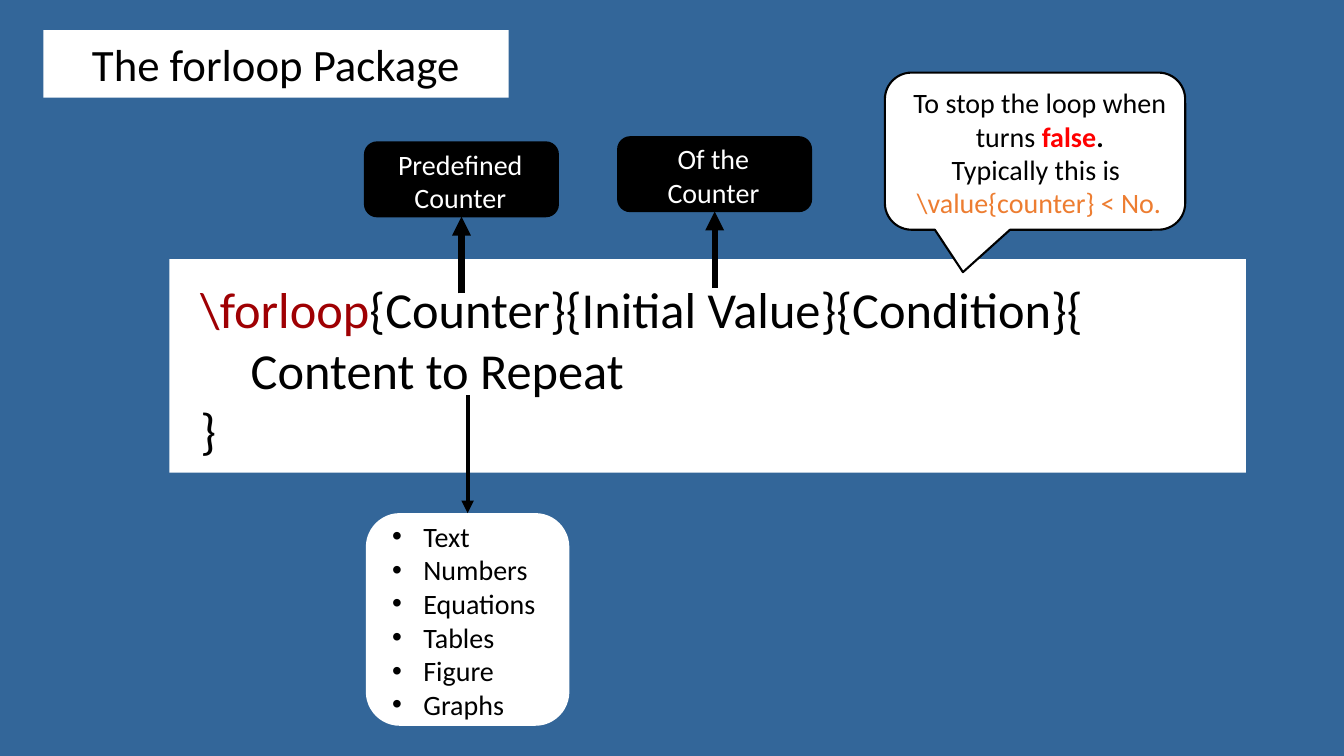
from lxml import etree
from pptx import Presentation
from pptx.dml.color import RGBColor
from pptx.enum.shapes import MSO_CONNECTOR, MSO_SHAPE
from pptx.enum.text import MSO_ANCHOR, PP_ALIGN
from pptx.oxml.ns import qn
from pptx.util import Cm, Pt

STRAIGHT = MSO_CONNECTOR.STRAIGHT
RECTANGLE = MSO_SHAPE.RECTANGLE
ROUNDED = MSO_SHAPE.ROUNDED_RECTANGLE
CALLOUT = MSO_SHAPE.ROUNDED_RECTANGULAR_CALLOUT
MIDDLE = MSO_ANCHOR.MIDDLE
LEFT, CENTER = PP_ALIGN.LEFT, PP_ALIGN.CENTER
TOP_SIDE, BOTTOM_SIDE = 0, 2

COLORS = {
    "page": "336699",
    "white": "FFFFFF",
    "black": "000000",
    "command": "9F0003",
    "false": "FF0000",
    "value": "ED7D31",
}
FONT = "Calibri"
CONTENTS = ["Text", "Numbers", "Equations", "Tables", "Figure", "Graphs"]


def color(name):
    return RGBColor.from_string(COLORS[name])


def add_panel(page, kind, box, fill, line_width=0):
    panel = page.shapes.add_shape(kind, *map(Cm, box))
    panel.shadow.inherit = False
    panel.fill.solid()
    panel.fill.fore_color.rgb = color(fill)
    if line_width:
        panel.line.color.rgb = color("black")
        panel.line.width = Pt(line_width)
    else:
        panel.line.fill.background()
    return panel


def add_bullet(para):
    properties = para._p.get_or_add_pPr()
    properties.set("marL", str(Cm(0.79)))
    properties.set("indent", str(-Cm(0.79)))
    etree.SubElement(properties, qn("a:buFont"), typeface="Arial")
    etree.SubElement(properties, qn("a:buChar"), char="•")


def write(frame, paragraphs, size, align, bullets=False):
    frame.word_wrap = True
    for index, spans in enumerate(paragraphs):
        para = frame.paragraphs[0] if index == 0 else frame.add_paragraph()
        para.alignment = align
        if bullets:
            add_bullet(para)
        for text, name, bold in spans:
            span = para.add_run()
            span.text = text
            span.font.color.rgb = color(name)
            formats = {"name": FONT, "size": Pt(size), "bold": bold}
            for key, value in formats.items():
                setattr(span.font, key, value)


def add_text(page, box, paragraphs, size, align, bullets=False):
    text_box = page.shapes.add_textbox(*map(Cm, box))
    write(text_box.text_frame, paragraphs, size, align, bullets)


def add_arrow(page, target, side, length, width):
    x = target.left + target.width // 2
    if side == TOP_SIDE:
        end, start = target.top, target.top - Cm(length)
    else:
        end = target.top + target.height
        start = end + Cm(length)
    arrow = page.shapes.add_connector(STRAIGHT, x, start, x, end)
    arrow.end_connect(target, side)
    arrow.line.color.rgb = color("black")
    arrow.line.width = Pt(width)
    etree.SubElement(arrow.line._get_or_add_ln(), qn("a:tailEnd"), type="triangle")
    etree.SubElement(arrow._element.spPr, qn("a:effectLst"))


def add_title(page, box):
    title = page.shapes.title
    for key, value in zip(("left", "top", "width", "height"), box):
        setattr(title, key, Cm(value))
    geometry = etree.SubElement(title._element.spPr, qn("a:prstGeom"), prst="roundRect")
    etree.SubElement(geometry, qn("a:avLst"))
    title.fill.solid()
    title.fill.fore_color.rgb = color("white")
    title.text_frame.vertical_anchor = MIDDLE
    write(title.text_frame, [[("The forloop Package", "black", False)]], 32, CENTER)


def add_code(page, box):
    left, top, width, height = box
    add_panel(page, RECTANGLE, box, "white")
    lines = [
        [("\\forloop", "command", False),
         ("{Counter}{Initial Value}{Condition}{", "black", False)],
        [("\tContent to Repeat", "black", False)],
        [("}", "black", False)],
    ]
    add_text(page, (left + 0.53, top + 0.36, width - 1.02, height - 0.5),
             lines, 36, LEFT)


def add_tag(page, box, text):
    left, top, width, height = box
    tag = add_panel(page, ROUNDED, box, "black", 1)
    add_text(page, (left + 0.15, top, width - 0.36, height + 0.94),
             [[(text, "white", False)]], 20, CENTER)
    add_arrow(page, tag, BOTTOM_SIDE, 1.93, 4.5)


def add_contents(page, box):
    left, top, width, height = box
    panel = add_panel(page, ROUNDED, box, "white")
    add_text(page, (left + 0.41, top + 0.03, width - 0.43, height),
             [[(item, "black", False)] for item in CONTENTS], 20, LEFT, True)
    add_arrow(page, panel, TOP_SIDE, 2.97, 3)


def add_condition(page, box):
    left, top, width, height = box
    callout = add_panel(page, CALLOUT, box, "white", 1.5)
    for index, value in enumerate((-0.24, 0.77, 0.17)):
        callout.adjustments[index] = value
    purpose = [[("To stop the loop when turns ", "black", False),
                ("false", "false", True), (".", "black", True)]]
    usual = [[("Typically this is ", "black", False)],
             [("\\value{counter} < No.", "value", False)]]
    add_text(page, (left + 0.41, top + 0.2, width - 0.58, height / 2),
             purpose, 20, CENTER)
    add_text(page, (left + 0.1, top + 1.88, width, height - 1.14),
             usual, 20, CENTER)


def main():
    deck = Presentation()
    deck.slide_width, deck.slide_height = Cm(33.87), Cm(19.05)
    page = deck.slides.add_slide(deck.slide_layouts[5])
    page.background.fill.solid()
    page.background.fill.fore_color.rgb = color("page")
    add_title(page, (1.09, 0.76, 11.73, 1.7))
    add_code(page, (4.27, 6.53, 27.13, 5.38))
    add_tag(page, (9.19, 3.58, 4.88, 1.88), "Predefined Counter")
    add_contents(page, (9.22, 12.93, 5.13, 5.36))
    add_tag(page, (15.57, 3.45, 4.88, 1.88), "Of the Counter")
    add_condition(page, (22.3, 1.83, 7.57, 3.96))
    deck.save("out.pptx")


if __name__ == "__main__":
    main()
